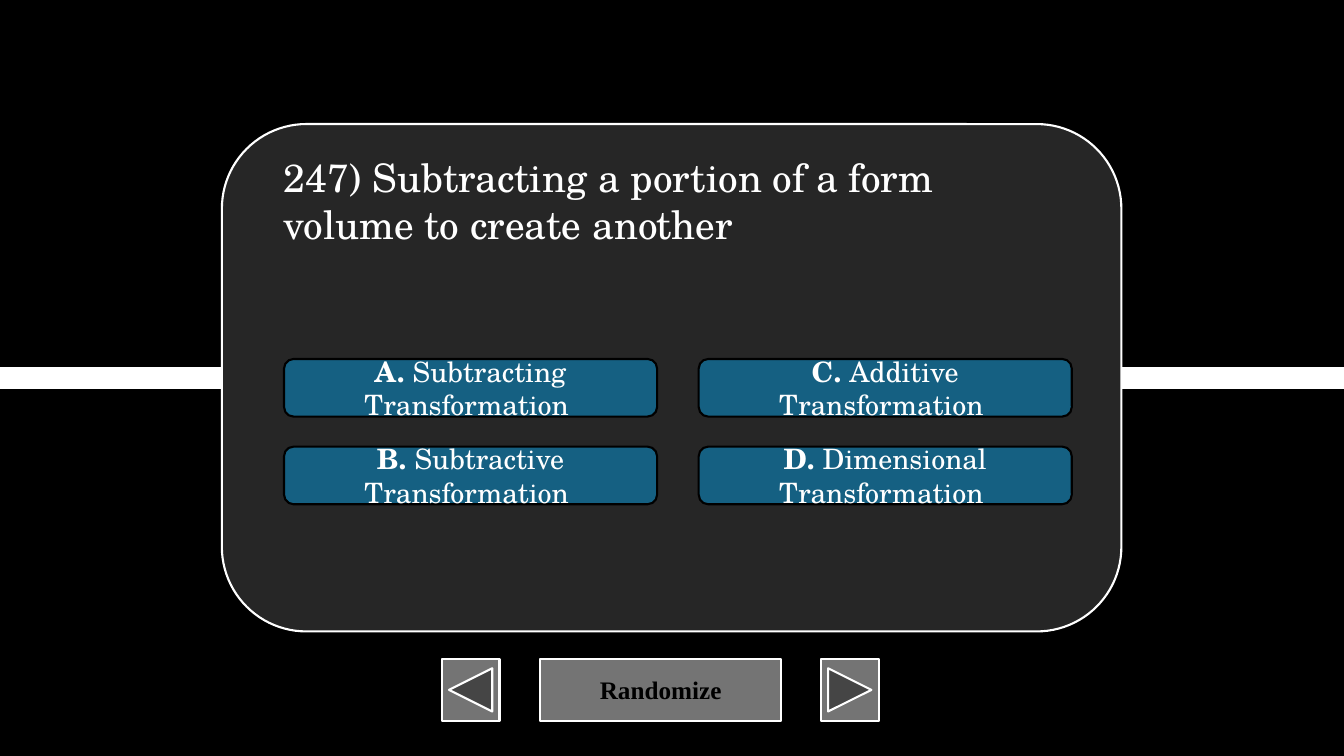
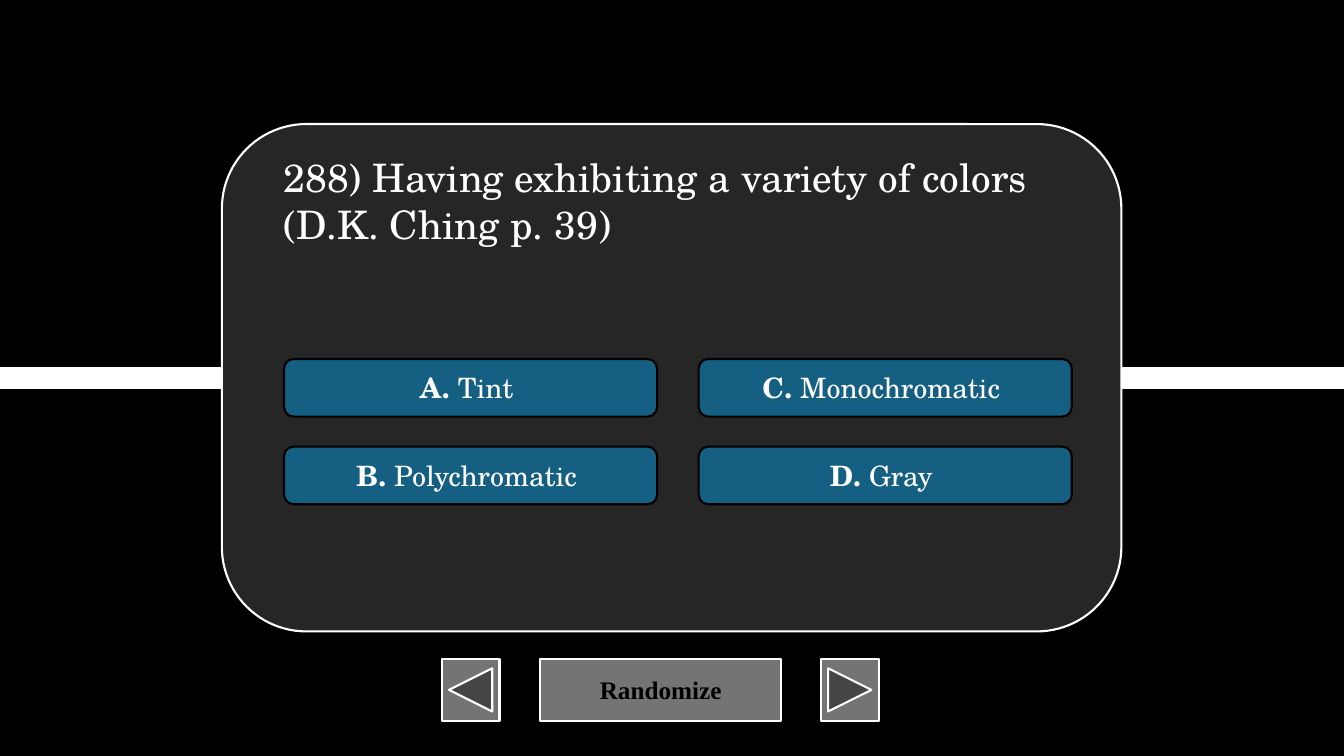
from lxml.etree import SubElement
from pptx import Presentation
from pptx.dml.color import RGBColor
from pptx.enum.shapes import MSO_CONNECTOR, MSO_SHAPE
from pptx.enum.text import MSO_ANCHOR, MSO_AUTO_SIZE, PP_ALIGN
from pptx.oxml.ns import qn
from pptx.util import Pt

# Shared style
BLACK = RGBColor(0x00, 0x00, 0x00)
WHITE = RGBColor(0xFF, 0xFF, 0xFF)
GRAY = RGBColor(0x74, 0x74, 0x74)
CHARCOAL = RGBColor(0x26, 0x26, 0x26)
BLUE = RGBColor(0x15, 0x60, 0x82)
QUIZ_FONT = "TeX Gyre Schola"
NAV_FONT = "Times New Roman"

# Shared layout, in points
SLIDE_WIDTH, SLIDE_HEIGHT = 960, 540
CARD = (158.5, 88.6, 642.5, 362.4)
QUESTION = (195.3, 105.8, 570, 75)
ANSWER_LEFT, ANSWER_TOP = 202.9, 256.4
ANSWER_WIDTH, ANSWER_HEIGHT = 266.5, 41.2
COLUMN_STEP, ROW_STEP = 296.2, 62.6
ROWS = 2
NAV_TOP, NAV_HEIGHT = 470.8, 44
NAV_BUTTONS = [
    (MSO_SHAPE.ACTION_BUTTON_CUSTOM, 385.8, 172.2, "Randomize"),
    (MSO_SHAPE.ACTION_BUTTON_BACK_OR_PREVIOUS, 315.6, 41.2, ""),
    (MSO_SHAPE.ACTION_BUTTON_FORWARD_OR_NEXT, 586.4, 41.2, ""),
]

QUIZ = [
    ("247) Subtracting a portion of a form volume to create another",
     ["Subtracting Transformation", "Subtractive Transformation",
      "Additive Transformation", "Dimensional Transformation"]),
    ("288) Having exhibiting a variety of colors (D.K. Ching p. 39)",
     ["Tint", "Polychromatic", "Monochromatic", "Gray"]),
]


def write(shape, text, *, size, font=QUIZ_FONT, color=WHITE, bold=False,
          align=PP_ALIGN.CENTER, anchor=MSO_ANCHOR.MIDDLE):
    """Append a formatted run to the shape's first paragraph."""
    frame = shape.text_frame
    frame.word_wrap = True
    frame.vertical_anchor = anchor
    paragraph = frame.paragraphs[0]
    paragraph.alignment = align
    paragraph.line_spacing = 1.0
    run = paragraph.add_run()
    run.text = text
    run.font.name = font
    run.font.size = Pt(size)
    run.font.bold = bold
    run.font.color.rgb = color


def add_box(slide, preset, box, fill, outline):
    shape = slide.shapes.add_shape(preset, *map(Pt, box))
    shape.shadow.inherit = False
    shape.fill.solid()
    shape.fill.fore_color.rgb = fill
    shape.line.color.rgb = outline
    shape.line.width = Pt(1.5)
    return shape


def add_band(slide):
    middle = Pt(SLIDE_HEIGHT / 2)
    band = slide.shapes.add_connector(
        MSO_CONNECTOR.STRAIGHT, 0, middle, Pt(SLIDE_WIDTH), middle)
    band.line.color.rgb = WHITE
    band.line.width = Pt(16)
    SubElement(band.element.spPr, qn("a:effectLst"))


def add_navigation(slide):
    for preset, left, width, label in NAV_BUTTONS:
        button = add_box(slide, preset, (left, NAV_TOP, width, NAV_HEIGHT), GRAY, WHITE)
        if label:
            write(button, label, size=18, font=NAV_FONT, color=BLACK, bold=True)


def add_answers(slide, answers):
    # Letters run down the first column, then down the second
    for index, (letter, answer) in enumerate(zip("ABCD", answers)):
        column, row = divmod(index, ROWS)
        box = (ANSWER_LEFT + column * COLUMN_STEP, ANSWER_TOP + row * ROW_STEP,
               ANSWER_WIDTH, ANSWER_HEIGHT)
        button = add_box(slide, MSO_SHAPE.ROUNDED_RECTANGLE, box, BLUE, BLACK)
        write(button, f"{letter}. ", size=20, bold=True)
        write(button, f"{answer} ", size=20)


def set_question(slide, question):
    title = slide.shapes.title
    title.left, title.top, title.width, title.height = map(Pt, QUESTION)
    write(title, question, size=28, align=PP_ALIGN.LEFT, anchor=MSO_ANCHOR.TOP)
    title.text_frame.auto_size = MSO_AUTO_SIZE.SHAPE_TO_FIT_TEXT
    # Bring the question in front of the card
    slide.shapes.element.append(title.element)


def add_quiz_slide(prs, question, answers):
    slide = prs.slides.add_slide(prs.slide_layouts.get_by_name("Title Only"))
    add_band(slide)
    add_navigation(slide)
    add_box(slide, MSO_SHAPE.ROUNDED_RECTANGLE, CARD, CHARCOAL, WHITE)
    add_answers(slide, answers)
    set_question(slide, question)


def main():
    prs = Presentation()
    prs.slide_width, prs.slide_height = Pt(SLIDE_WIDTH), Pt(SLIDE_HEIGHT)
    background = prs.slide_master.background.fill
    background.solid()
    background.fore_color.rgb = BLACK
    for question, answers in QUIZ:
        add_quiz_slide(prs, question, answers)
    prs.save("out.pptx")


if __name__ == "__main__":
    main()
